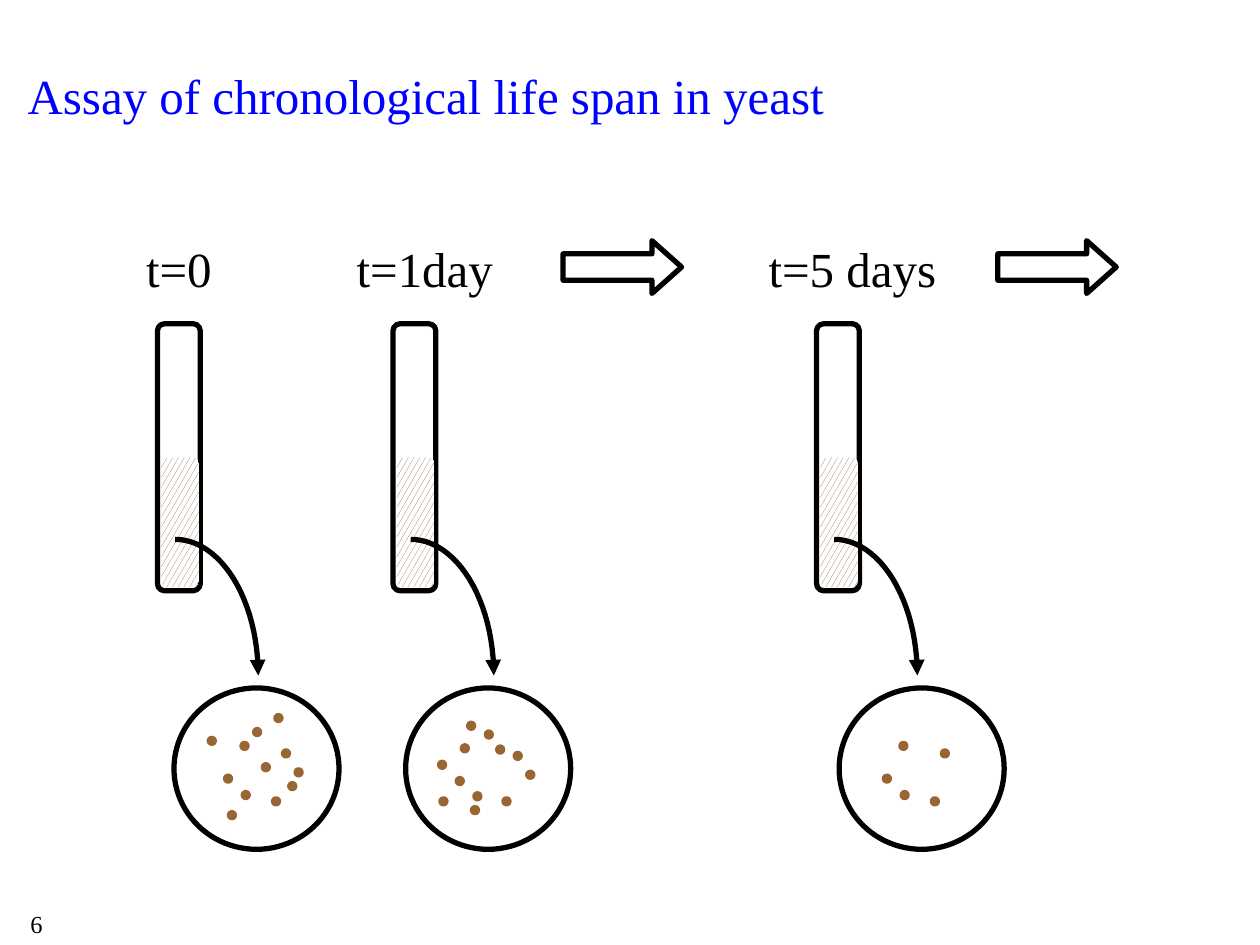
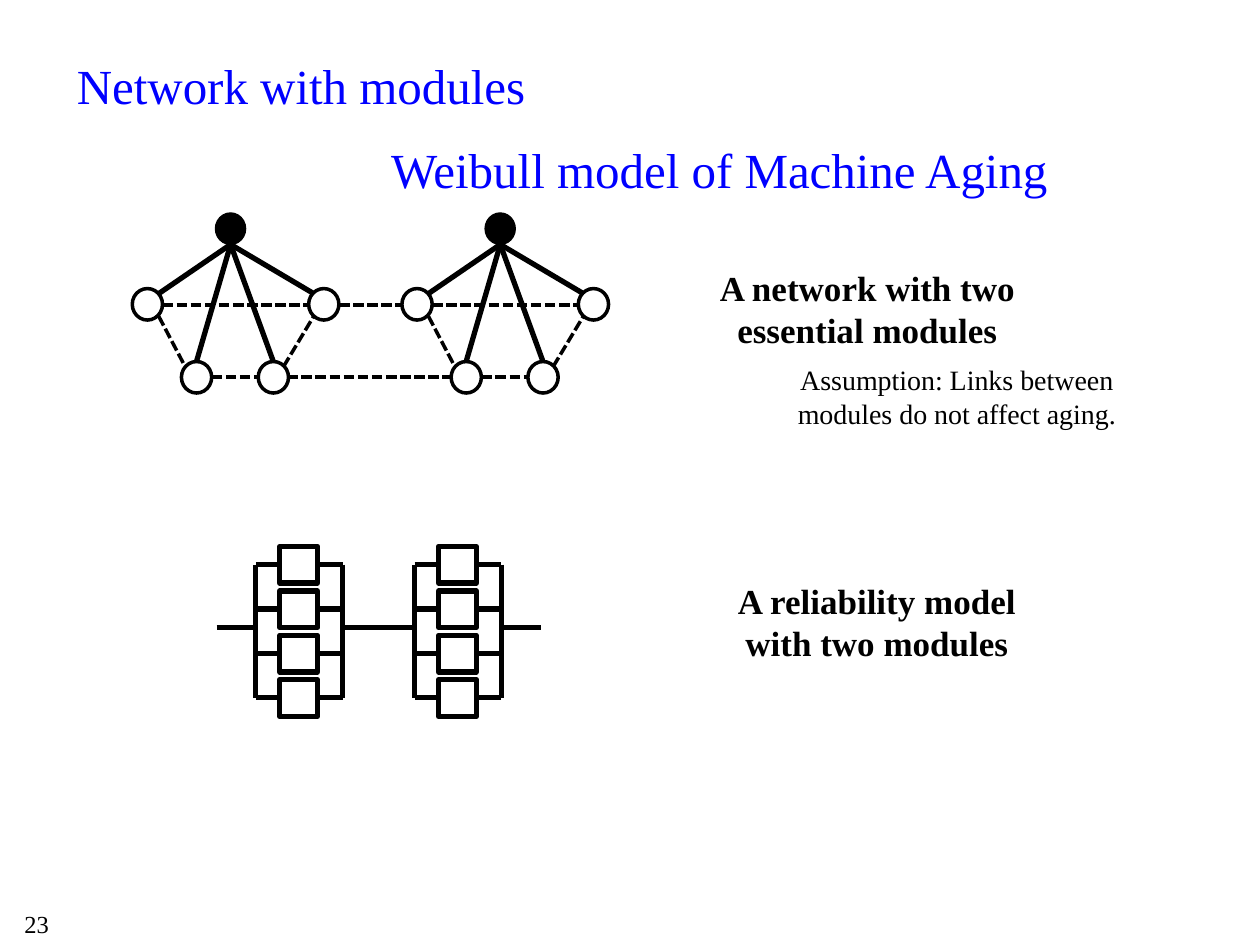
from math import cos, pi, sin

from lxml import etree
from pptx import Presentation
from pptx.dml.color import RGBColor
from pptx.enum.dml import MSO_LINE, MSO_PATTERN
from pptx.enum.shapes import MSO_CONNECTOR, MSO_SHAPE
from pptx.enum.text import MSO_ANCHOR, PP_ALIGN
from pptx.oxml.ns import qn
from pptx.util import Pt

OVAL = MSO_SHAPE.OVAL
RECTANGLE = MSO_SHAPE.RECTANGLE
ROUNDED = MSO_SHAPE.ROUNDED_RECTANGLE
RIGHT_ARROW = MSO_SHAPE.RIGHT_ARROW
STRAIGHT = MSO_CONNECTOR.STRAIGHT
DASH = MSO_LINE.SQUARE_DOT
CONFETTI = MSO_PATTERN.LARGE_CONFETTI
LEFT, CENTER = PP_ALIGN.LEFT, PP_ALIGN.CENTER
TOP, MIDDLE = MSO_ANCHOR.TOP, MSO_ANCHOR.MIDDLE

FONT = "Times New Roman"
BLACK, WHITE, BLUE, BROWN = "000000", "FFFFFF", "0000FF", "996633"

DISH_TOP, DOT_SIZE = 393.1, 2.9
# Label, its left and width, tube left, dish left, colonies relative to the dish
SAMPLES = [
    ("t=0", 72, 60.5, 90, 99.4,
     [(46.1, 23.8), (39.6, 59.8), (20.2, 28.8), (66.2, 54.7),
      (38.9, 31.7), (62.6, 36), (56.9, 63.4), (58.3, 15.8),
      (29.5, 50.4), (51.1, 43.9), (69.8, 46.8), (31.7, 71.3)]),
    ("t=1day", 182.2, 121, 224.6, 231.8,
     [(46.1, 25.2), (39.6, 60.5), (36, 20.2), (56.2, 63.4),
      (32.4, 33.1), (62.6, 37.4), (20.2, 63.4), (19.4, 42.5),
      (29.5, 51.8), (52.6, 33.8), (69.8, 48.2), (38.2, 68.4)]),
    ("t=5 days", 419, 136.1, 466.6, 479.5,
     [(36, 59.8), (35.3, 31.7), (59, 36), (53.3, 63.4), (25.9, 50.4)]),
]

# Network module, x relative to its left edge
NODES = [(72, 206.6), (28.1, 206.6), (0, 164.9), (100.8, 164.9)]
HUB_FOOT = (56.2, 139.7)
SPOKE_ENDS = [(15.1, 167.8), (36.7, 206.6), (80.6, 206.6), (103.7, 167.8)]
NODE_LINKS = [
    ((86.4, 209.5), (103.7, 180.7)),
    ((45.4, 215.3), (72, 215.3)),
    ((17.3, 174.2), (100.8, 174.2)),
    ((15.1, 180.7), (30.2, 209.5)),
]


def color(value):
    return RGBColor.from_string(value)


def add_text(page, text, left, top, width, height, size=28, ink=BLACK,
             bold=False, align=CENTER, anchor=TOP):
    box = page.shapes.add_textbox(Pt(left), Pt(top), Pt(width), Pt(height))
    frame = box.text_frame
    frame.word_wrap = True
    frame.vertical_anchor = anchor
    frame.margin_left = frame.margin_right = 0
    frame.text = text
    for para in frame.paragraphs:
        para.alignment = align
        para.font.name = FONT
        para.font.size = Pt(size)
        para.font.bold = bold
        para.font.color.rgb = color(ink)


def style_line(line, weight, ink=BLACK):
    line.color.rgb = color(ink)
    line.width = Pt(weight)


def add_shape(page, kind, left, top, width, height, fill=None, ink=BLACK,
              weight=3):
    """Add a preset shape; no fill or no ink leaves that part empty."""
    shape = page.shapes.add_shape(kind, Pt(left), Pt(top), Pt(width), Pt(height))
    shape.shadow.inherit = False
    if fill:
        shape.fill.solid()
        shape.fill.fore_color.rgb = color(fill)
    else:
        shape.fill.background()
    if ink:
        style_line(shape.line, weight, ink)
    else:
        shape.line.fill.background()
    return shape


def add_line(page, start, end, weight=3, dash=None):
    points = [Pt(value) for value in (*start, *end)]
    connector = page.shapes.add_connector(STRAIGHT, *points)
    style_line(connector.line, weight)
    if dash:
        connector.line.dash_style = dash
    etree.SubElement(connector._element.spPr, qn("a:effectLst"))


def add_arc_arrow(page, left, top, width, height, steps=24):
    """Draw a quarter of an ellipse that ends in a downward arrowhead."""
    angles = [pi / 2 * step / steps for step in range(steps + 1)]
    points = [(Pt(left + width * sin(angle)), Pt(top + height * (1 - cos(angle))))
              for angle in angles]
    builder = page.shapes.build_freeform(*points[0])
    builder.add_line_segments(points[1:], close=False)
    arc = builder.convert_to_shape()
    arc.shadow.inherit = False
    arc.fill.background()
    style_line(arc.line, 3)
    etree.SubElement(arc.line._get_or_add_ln(), qn("a:tailEnd"), type="triangle")


def add_page(deck, title, left, top, height, number):
    page = deck.slides.add_slide(deck.slide_layouts[6])
    add_text(page, title, left, top, 620, height, ink=BLUE, align=LEFT,
             anchor=MIDDLE)
    add_text(page, number, 0, 516.2, 41.8, 23.8, size=14)
    return page


def add_tube(page, left):
    add_shape(page, ROUNDED, left, 185, 24.5, 152.6, WHITE)
    culture = add_shape(page, ROUNDED, left + 2.2, 261.4, 21.6, 74.2, ink=None)
    culture.fill.patterned()
    culture.fill.pattern = CONFETTI
    culture.fill.fore_color.rgb = color(BROWN)
    culture.fill.back_color.rgb = color(WHITE)
    add_arc_arrow(page, left + 10.1, 308.2, 47.5, 77.8)


def add_dish(page, left, colonies):
    add_shape(page, OVAL, left, DISH_TOP, 94.3, 92.2, WHITE)
    for x, y in colonies:
        add_shape(page, OVAL, left + x, DISH_TOP + y, DOT_SIZE, DOT_SIZE,
                  BROWN, BROWN)


def add_network_module(page, left):
    def shift(point):
        return left + point[0], point[1]

    add_shape(page, OVAL, left + 47.5, 121.7, 17.3, 18, BLACK, weight=0.75)
    for node in NODES:
        add_shape(page, OVAL, *shift(node), 17.3, 18, weight=2)
    for end in SPOKE_ENDS:
        add_line(page, shift(HUB_FOOT), shift(end))
    for start, end in NODE_LINKS:
        add_line(page, shift(start), shift(end), 2, DASH)


def add_parallel_block(page, left):
    """Draw four components in parallel between two vertical rails."""
    right = left + 49.6
    rows = [322.6 + 25.4 * row for row in range(4)]
    for y in rows:
        add_line(page, (left, y), (right, y))
        add_shape(page, RECTANGLE, left + 13.7, y - 10.3, 21.6, 20.9, WHITE)
    for x in (left, right):
        add_line(page, (x, rows[0]), (x, rows[-1]))


def build_assay(deck):
    page = add_page(deck, "Assay of chronological life span in yeast",
                    15.8, 9.4, 90, "6")
    for label, label_left, label_width, tube_left, dish_left, colonies in SAMPLES:
        add_text(page, label, label_left, 132.5, label_width, 41)
        add_tube(page, tube_left)
        add_dish(page, dish_left, colonies)
    for left in (321.8, 570.2):
        arrow = add_shape(page, RIGHT_ARROW, left, 137.5, 67.7, 30.2, WHITE)
        arrow.adjustments[1] = 0.56


def build_modules(deck):
    page = add_page(deck, "Network with modules", 43.9, 18.7, 60, "23")
    add_text(page, "Weibull model of Machine Aging", 181.4, 76.3, 459.4, 41,
             ink=BLUE)
    add_text(page, "A network with two\nessential modules",
             401, 149, 189.4, 55.4, size=20, bold=True)
    add_text(page, "Assumption: Links between\nmodules do not affect aging.",
             445.3, 203.8, 203, 46, size=16)
    add_text(page, "A reliability model\nwith two modules",
             414, 327.6, 174.2, 55.4, size=20, bold=True)
    for left in (75.6, 229.7):
        add_network_module(page, left)
    for start, end, y in ((193.7, 229.7, 174.2), (164.2, 257.8, 215.3)):
        add_line(page, (start, y), (end, y), 2, DASH)
    for left in (146.2, 236.9):
        add_parallel_block(page, left)
    for start, end in ((123.8, 146.2), (195.8, 236.9), (286.5, 308.9)):
        add_line(page, (start, 358.6), (end, 358.6))


def main():
    deck = Presentation()
    deck.slide_width, deck.slide_height = Pt(720), Pt(540)
    build_assay(deck)
    build_modules(deck)
    deck.save("out.pptx")


if __name__ == "__main__":
    main()
